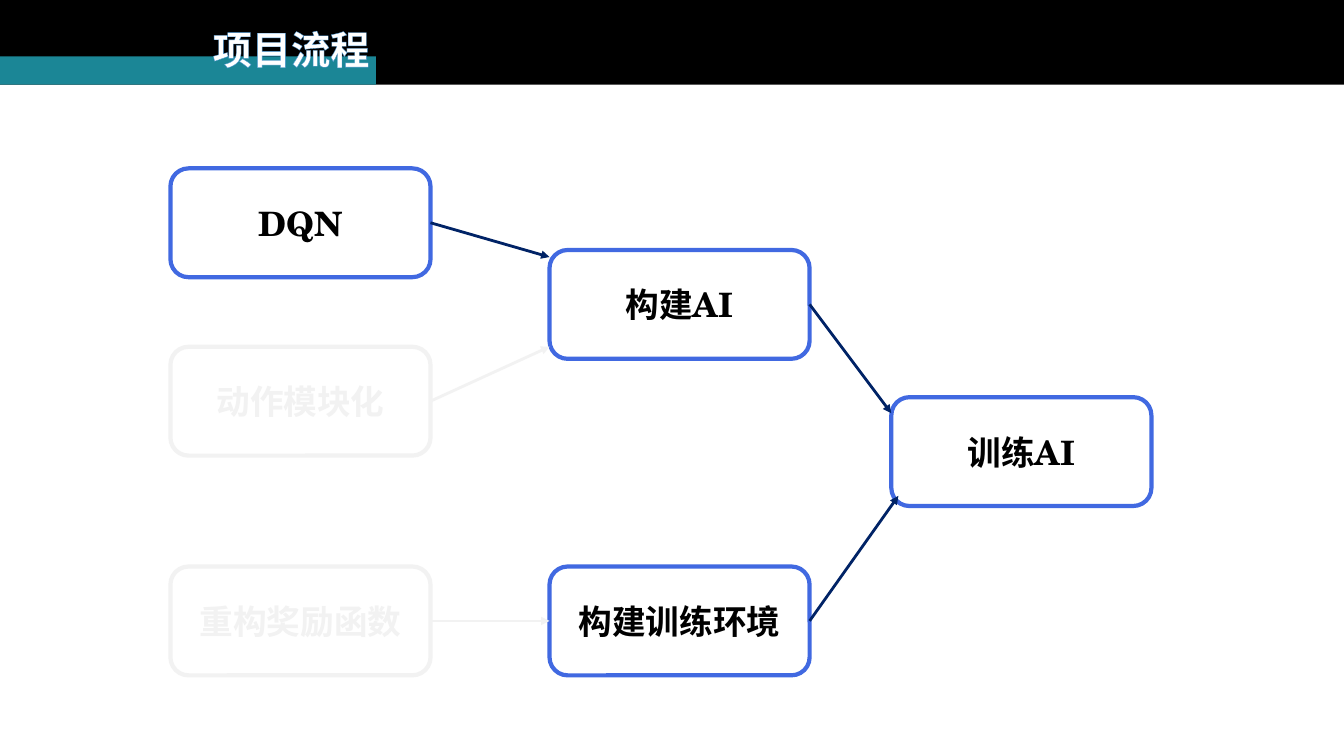
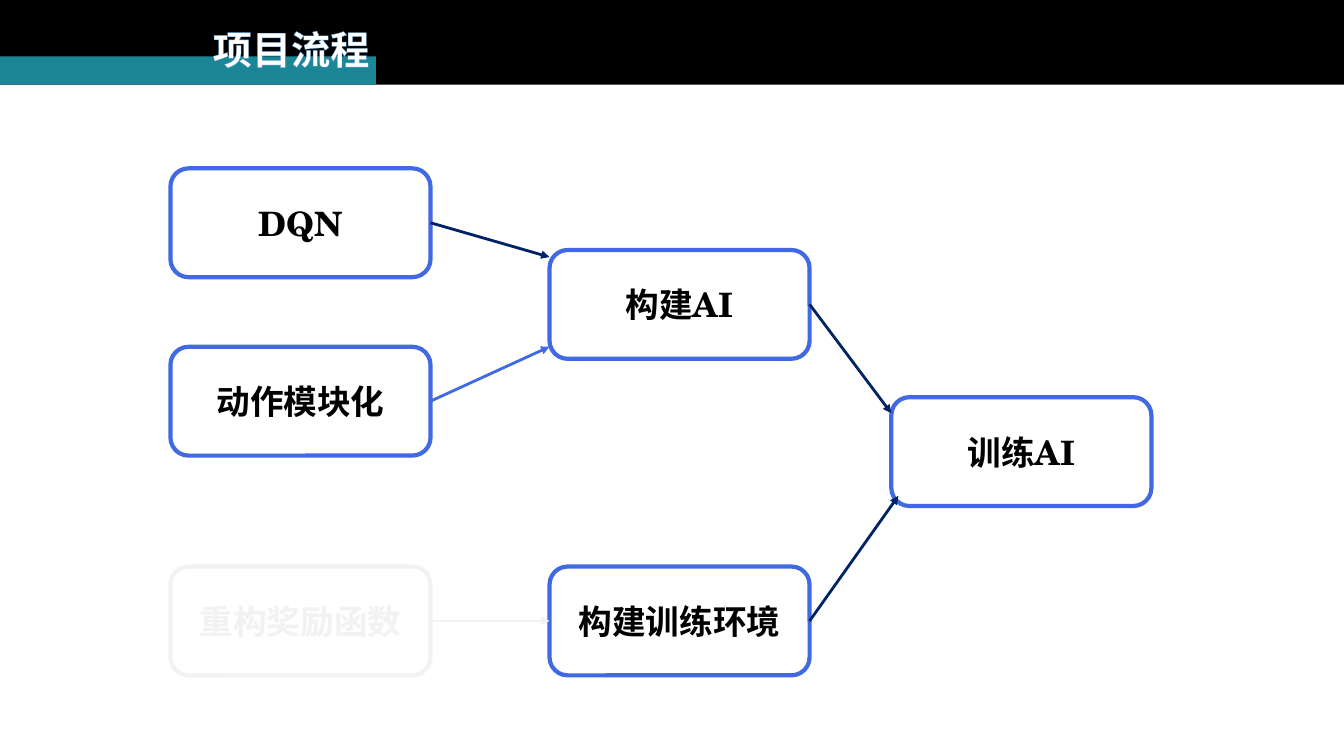
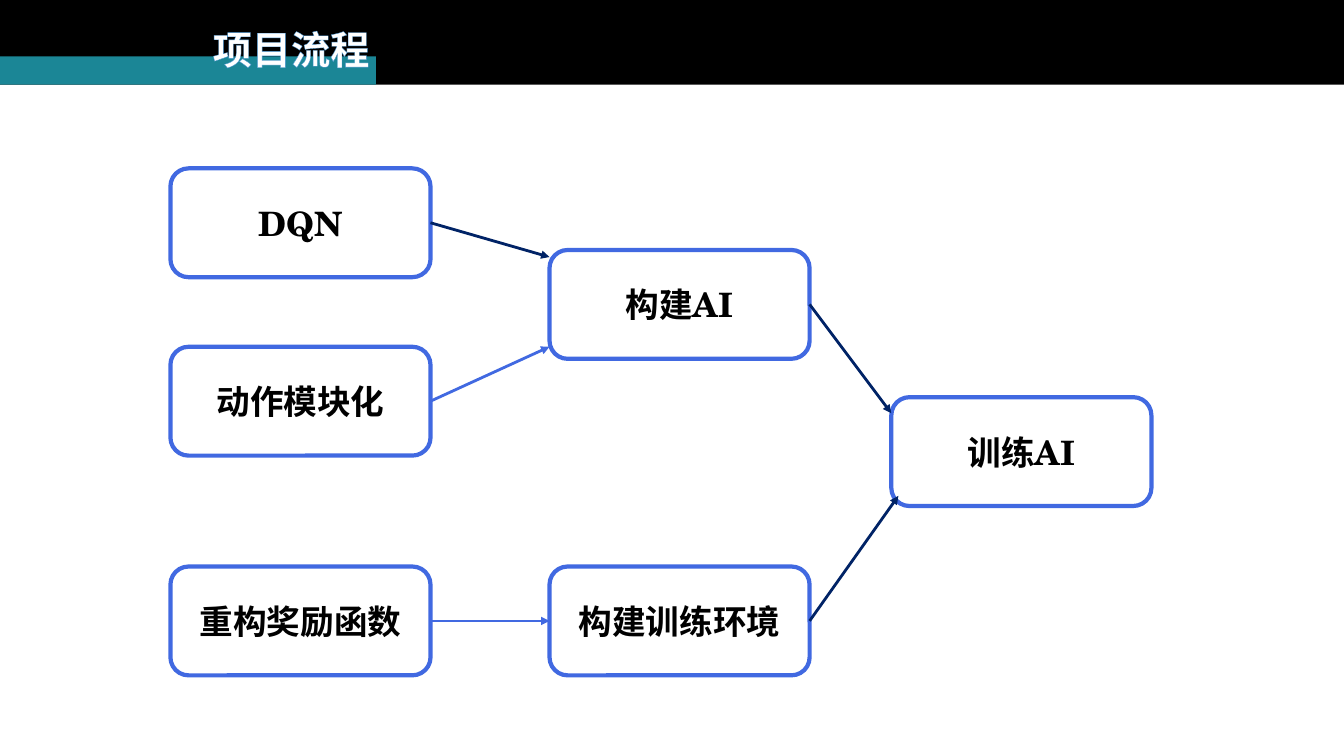
from lxml import etree
from pptx import Presentation
from pptx import util as u
from pptx.dml.color import RGBColor
from pptx.enum import shapes, text
from pptx.oxml.ns import qn

COLORS = {"band": "000000", "accent": "1B8696", "title": "FFFFFF",
          "title_edge": "4893CF", "box": "4169E1", "arrow": "002366",
          "faded": "F2F2F2", "text": "000000"}
CJK, LATIN = "Noto Sans CJK SC", "TeX Gyre Schola"

SLIDE_W, SLIDE_H = 13.33, 7.5
TITLE = "项目流程"
TITLE_AT = (2.01, 0.2, 1.77, 0.57)
BANDS = [("band", (0, 0, SLIDE_W, 0.84)), ("accent", (0, 0.56, 3.73, 0.28))]

BOX_W, BOX_H = 2.58, 1.08
COLUMNS = (1.69, 5.45, 8.84)
BOXES = {
    "dqn": ("DQN", 0, 1.67),
    "actions": ("动作模块化", 0, 3.44),
    "reward": ("重构奖励函数", 0, 5.62),
    "build_ai": ("构建AI", 1, 2.48),
    "build_env": ("构建训练环境", 1, 5.62),
    "train": ("训练AI", 2, 3.94),
}
ARROWS = [
    ("dqn", "build_ai", (5.45, 2.55), "arrow"),
    ("actions", "build_ai", (5.45, 3.44), "box"),
    ("reward", "build_env", None, "box"),
    ("build_env", "train", (8.91, 4.92), "arrow"),
    ("build_ai", "train", (8.84, 4.1), "arrow"),
]
FADED_BY_SLIDE = [("actions", "reward"), ("reward",), ()]


def rgb(name):
    return RGBColor.from_string(COLORS[name])


def inches(values):
    return [u.Inches(v) for v in values]


def place(sp, at):
    for name, value in zip(("left", "top", "width", "height"), inches(at)):
        setattr(sp, name, value)


def write(sp, words, size, color, latin, align, **frame):
    tf = sp.text_frame
    for name, value in frame.items():
        setattr(tf, name, value)
    p = tf.paragraphs[0]
    p.alignment = align
    r = p.add_run()
    r.text = words
    for name, value in {"size": u.Pt(size), "bold": True, "name": latin}.items():
        setattr(r.font, name, value)
    r.font.color.rgb = rgb(color)
    rpr = r.font._element
    etree.SubElement(rpr, qn("a:ea"), typeface=CJK)
    return rpr


def set_up_layout(layout, s):
    for i, (color, at) in enumerate(BANDS):
        sp = s.shapes.add_shape(shapes.MSO_SHAPE.RECTANGLE, *inches(at))
        sp.shadow.inherit = False
        sp.fill.solid()
        sp.fill.fore_color.rgb = rgb(color)
        sp.line.fill.background()
        layout.shapes._spTree.insert(2 + i, sp._element)
    for sp in layout.placeholders:
        if sp.placeholder_format.type == shapes.PP_PLACEHOLDER.TITLE:
            place(sp, TITLE_AT)


def add_title(s):
    rpr = write(s.shapes.title, TITLE, 28, "title", CJK, text.PP_ALIGN.LEFT,
                word_wrap=False, vertical_anchor=text.MSO_ANCHOR.TOP,
                auto_size=text.MSO_AUTO_SIZE.SHAPE_TO_FIT_TEXT)
    ln = etree.Element(qn("a:ln"), w=str(u.Pt(0.52)))
    fill = etree.SubElement(ln, qn("a:solidFill"))
    etree.SubElement(fill, qn("a:srgbClr"), val=COLORS["title_edge"])
    rpr.insert(0, ln)


def add_box(s, words, column, top, faded):
    at = inches((COLUMNS[column], top, BOX_W, BOX_H))
    sp = s.shapes.add_shape(shapes.MSO_SHAPE.ROUNDED_RECTANGLE, *at)
    sp.shadow.inherit = False
    sp.fill.background()
    sp.line.color.rgb = rgb("faded" if faded else "box")
    sp.line.width = u.Pt(3)
    write(sp, words, 24, "faded" if faded else "text", LATIN,
          text.PP_ALIGN.CENTER, vertical_anchor=text.MSO_ANCHOR.MIDDLE)
    return sp


def add_arrow(s, start, end, tip, color):
    x, y = inches(tip or (0, 0))
    c = s.shapes.add_connector(shapes.MSO_CONNECTOR.STRAIGHT, x, y, x, y)
    c.begin_connect(start, 3)
    if tip is None:
        c.end_connect(end, 1)
    c.line.color.rgb = rgb(color)
    c.line.width = u.Pt(2)
    etree.SubElement(c.line._get_or_add_ln(), qn("a:tailEnd"), type="triangle")
    etree.SubElement(c._element.spPr, qn("a:effectLst"))


def main():
    prs = Presentation()
    prs.slide_width, prs.slide_height = inches((SLIDE_W, SLIDE_H))
    layout = prs.slide_layouts[5]
    for i, faded in enumerate(FADED_BY_SLIDE):
        s = prs.slides.add_slide(layout)
        if i == 0:
            set_up_layout(layout, s)
        add_title(s)
        boxes = {key: add_box(s, *box, key in faded) for key, box in BOXES.items()}
        for start, end, tip, color in ARROWS:
            add_arrow(s, boxes[start], boxes[end], tip,
                      "faded" if start in faded else color)
    prs.save("out.pptx")


if __name__ == "__main__":
    main()
